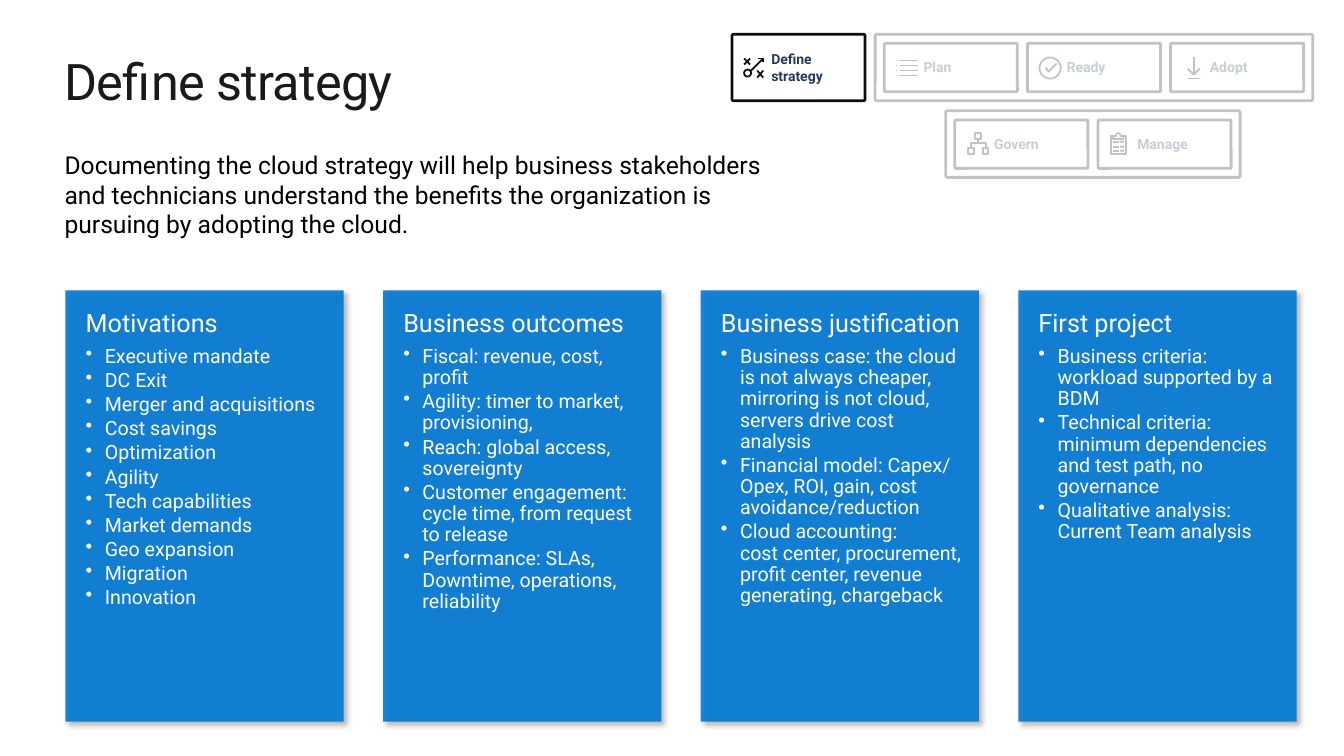
from lxml import etree
from pptx import Presentation
from pptx.dml.color import RGBColor
from pptx.enum.shapes import MSO_SHAPE
from pptx.enum.text import MSO_ANCHOR, MSO_AUTO_SIZE, PP_ALIGN
from pptx.oxml.ns import qn
from pptx.util import Inches, Pt

RECTANGLE = MSO_SHAPE.RECTANGLE
ROUNDED = MSO_SHAPE.ROUNDED_RECTANGLE
OVAL = MSO_SHAPE.OVAL
TOP = MSO_ANCHOR.TOP
LEFT = PP_ALIGN.LEFT
NO_AUTOFIT = MSO_AUTO_SIZE.NONE

FONT = "Roboto"
BLUE, WHITE, BLACK = "0078D4", "FFFFFF", "000000"
INK, NAVY, TITLE_COLOR = "0D0D0D", "243A5E", "1A1A1A"
TILE_WIDTH, TILE_HEIGHT, TILE_PITCH = 1.32, 0.48, 1.42
FRAME_HEIGHT, FRAME_MARGIN = 0.66, 0.09

PANELS = [
    ("Motivations", [
        "Executive mandate", "DC Exit", "Merger and acquisitions", "Cost savings",
        "Optimization", "Agility", "Tech capabilities", "Market demands",
        "Geo expansion", "Migration", "Innovation"]),
    ("Business outcomes", [
        "Fiscal: revenue, cost, profit",
        "Agility: timer to market, provisioning,",
        "Reach: global access, sovereignty",
        "Customer engagement: cycle time, from request\nto release",
        "Performance: SLAs, Downtime, operations, reliability"]),
    ("Business justification", [
        "Business case: the cloud\nis not always cheaper, mirroring is not cloud, "
        "servers drive cost analysis",
        "Financial model: Capex/\nOpex, ROI, gain, cost avoidance/reduction",
        "Cloud accounting:\ncost center, procurement, profit center, revenue "
        "generating, chargeback"]),
    ("First project", [
        "Business criteria: workload supported by a BDM",
        "Technical criteria: minimum dependencies and test path, no governance",
        "Qualitative analysis: Current Team analysis"]),
]


def box_outline(left, top, right, bottom):
    return [(left, top), (right, top), (right, bottom), (left, bottom), (left, top)]


STRATEGY_ICON = [
    [(0.18, 0.30), (0.12, 0.24)], [(0.18, 0.24), (0.12, 0.30)],
    [(0.31, 0.43), (0.25, 0.36)], [(0.31, 0.36), (0.25, 0.43)],
    [(0.18, 0.37), (0.31, 0.24)], [(0.31, 0.28), (0.31, 0.24), (0.26, 0.24)],
]
PLAN_ICON = [
    [(start, y), (end, y)]
    for y in (0.17, 0.22, 0.27, 0.32) for start, end in ((0.16, 0.33), (0.12, 0.13))
]
READY_ICON = [[(0.18, 0.24), (0.21, 0.28), (0.29, 0.20)]]
ADOPT_ICON = [
    [(0.29, 0.25), (0.23, 0.31), (0.17, 0.25)],
    [(0.23, 0.31), (0.23, 0.14)], [(0.17, 0.35), (0.29, 0.35)],
]
GOVERN_ICON = [
    box_outline(0.13, 0.28, 0.19, 0.34), box_outline(0.28, 0.28, 0.33, 0.34),
    box_outline(0.20, 0.13, 0.26, 0.19), [(0.23, 0.19), (0.23, 0.23)],
    [(0.31, 0.28), (0.31, 0.23), (0.16, 0.23), (0.16, 0.28)],
]
MANAGE_ICON = [
    [(0.18, 0.16), (0.18, 0.14), (0.20, 0.13), (0.22, 0.14), (0.22, 0.16),
     (0.25, 0.16), (0.25, 0.19), (0.15, 0.19), (0.15, 0.16), (0.18, 0.16)],
    [(0.15, 0.16), (0.13, 0.16), (0.13, 0.34), (0.28, 0.34), (0.28, 0.16), (0.25, 0.16)],
]
for check_top in (0.21, 0.26, 0.30):
    MANAGE_ICON.append([(0.15, check_top + 0.01), (0.21, check_top + 0.01)])
    MANAGE_ICON.append([(0.22, check_top), (0.24, check_top + 0.01), (0.26, check_top)])

PHASE_ROWS = [
    (8.68, 0.34, [("Plan", PLAN_ICON, None),
                  ("Ready", READY_ICON, (0.12, 0.14, 0.21)),
                  ("Adopt", ADOPT_ICON, None)]),
    (9.38, 1.10, [("Govern", GOVERN_ICON, None), ("Manage", MANAGE_ICON, None)]),
]


def color(hex_string):
    return RGBColor.from_string(hex_string)


class StrategySlide:
    def __init__(self, presentation):
        self.slide = presentation.slides.add_slide(presentation.slide_layouts[5])
        self.shapes = self.slide.shapes

    def set_font(self, paragraph, size, font_color, bold=False):
        paragraph.alignment = LEFT
        font = paragraph.font
        font.name, font.size, font.bold = FONT, Pt(size), bold
        font.color.rgb = color(font_color)

    def set_frame(self, shape, left=0, top=0, right=0, bottom=0):
        frame = shape.text_frame
        frame.word_wrap = True
        frame.auto_size = NO_AUTOFIT
        frame.vertical_anchor = TOP
        frame.margin_left, frame.margin_top = Inches(left), Inches(top)
        frame.margin_right, frame.margin_bottom = Inches(right), Inches(bottom)
        return frame

    def title(self, text):
        shape = self.shapes.title
        shape.left, shape.top = Inches(0.64), Inches(0.5)
        shape.width, shape.height = Inches(12.05), Inches(0.61)
        paragraph = self.set_frame(shape).paragraphs[0]
        paragraph.text = text
        self.set_font(paragraph, 36, TITLE_COLOR)
        paragraph.runs[0]._r.get_or_add_rPr().set("spc", "-50")

    def text(self, box, text, size, font_color, bold=False, **margins):
        shape = self.shapes.add_textbox(*map(Inches, box))
        paragraph = self.set_frame(shape, **margins).paragraphs[0]
        paragraph.text = text
        self.set_font(paragraph, size, font_color, bold)

    def outline(self, shape, width):
        shape.line.color.rgb = color(INK)
        shape.line.width = Pt(width)

    def shape(self, kind, box, fill=None, opacity=100, line_width=None):
        shape = self.shapes.add_shape(kind, *map(Inches, box))
        shape.shadow.inherit = False
        if kind == ROUNDED:
            shape.adjustments[0] = 0.025
        if fill:
            shape.fill.solid()
            shape.fill.fore_color.rgb = color(fill)
            if opacity < 100:
                fill_color = shape._element.spPr.find(qn("a:solidFill"))[0]
                etree.SubElement(fill_color, qn("a:alpha"), val=str(opacity * 1000))
        else:
            shape.fill.background()
        if line_width:
            self.outline(shape, line_width)
        else:
            shape.line.fill.background()
        return shape

    def panel(self, box, heading, items):
        shape = self.shape(RECTANGLE, box, BLUE, 90)
        effects = shape._element.spPr.find(qn("a:effectLst"))
        shadow = etree.SubElement(effects, qn("a:outerShdw"), blurRad=str(Pt(4)),
                                  dist=str(Pt(3)), dir="2700000", algn="tl", rotWithShape="0")
        shadow_color = etree.SubElement(shadow, qn("a:srgbClr"), val=BLACK)
        etree.SubElement(shadow_color, qn("a:alpha"), val="30000")
        frame = self.set_frame(shape, 0.2, 0.2, 0.1)
        for index, text in enumerate([heading, *items]):
            paragraph = frame.add_paragraph() if index else frame.paragraphs[0]
            paragraph.text = text
            paragraph.line_spacing = 0.9
            paragraph.space_after = Pt(2.1 if index else 6.3)
            if index:
                properties = paragraph._p.get_or_add_pPr()
                properties.set("marL", str(Inches(0.19)))
                properties.set("indent", str(Inches(-0.19)))
                etree.SubElement(properties, qn("a:buChar"), char="•")
            self.set_font(paragraph, 14 if index else 18, WHITE)

    def icon(self, left, top, strokes, circle):
        if circle:
            x, y, size = circle
            self.shape(OVAL, (left + x, top + y, size, size), line_width=1.25)
        placed = [[(Inches(left + x), Inches(top + y)) for x, y in stroke]
                  for stroke in strokes]
        builder = self.shapes.build_freeform(*placed[0][0])
        for index, (start, *rest) in enumerate(placed):
            if index:
                builder.move_to(*start)
            builder.add_line_segments(rest, close=False)
        shape = builder.convert_to_shape()
        shape.shadow.inherit = False
        shape.fill.background()
        self.outline(shape, 1.25)

    def tile(self, left, top, height, label, strokes, circle, label_height=0.17):
        self.shape(ROUNDED, (left, top, TILE_WIDTH, height), WHITE, line_width=2)
        self.icon(left, top, strokes, circle)
        label_top = top + (height - label_height) / 2
        self.text((left - 0.01, label_top, 1.34, label_height), label, 10, NAVY, True,
                  left=0.4, right=0.1)


def main():
    presentation = Presentation()
    presentation.slide_width, presentation.slide_height = Inches(13.33), Inches(7.5)
    page = StrategySlide(presentation)
    page.title("Define strategy")
    page.text((0.64, 1.44, 7.47, 0.99),
              "Documenting the cloud strategy will help business stakeholders and "
              "technicians understand the benefits the organization is pursuing by "
              "adopting the cloud.",
              17.6, BLACK, top=0.05, right=0.2, bottom=0.05)
    for index, (heading, items) in enumerate(PANELS):
        page.panel((0.65 + 3.15 * index, 2.88, 2.76, 4.28), heading, items)
    page.tile(7.26, 0.34, FRAME_HEIGHT, "Define strategy", STRATEGY_ICON,
              (0.12, 0.35, 0.07), 0.34)
    for left, top, phases in PHASE_ROWS:
        width = TILE_PITCH * (len(phases) - 1) + TILE_WIDTH + 2 * FRAME_MARGIN
        page.shape(ROUNDED, (left, top, width, FRAME_HEIGHT), line_width=2)
        for index, phase in enumerate(phases):
            page.tile(left + FRAME_MARGIN + TILE_PITCH * index, top + FRAME_MARGIN,
                      TILE_HEIGHT, *phase)
    page.shape(RECTANGLE, (8.6, 0.22, 4.56, 1.77), WHITE, 75)
    presentation.save("out.pptx")


if __name__ == "__main__":
    main()
